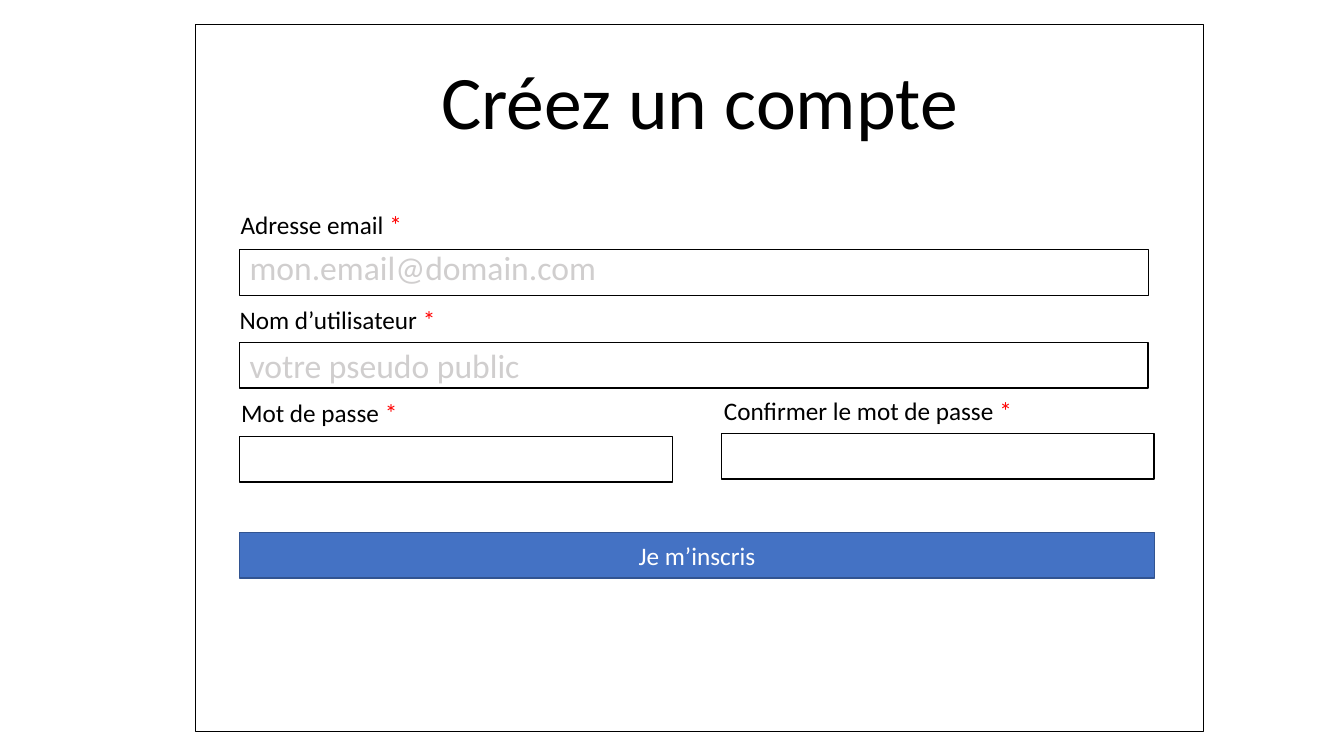
"""Build the account sign-up form slide."""
from pptx import Presentation
from pptx import util as u
from pptx.dml.color import RGBColor
from pptx.enum import shapes, text

COLORS = {"ink": "000000", "paper": "FFFFFF", "hint": "D0CECE",
          "required": "FF0000", "button": "4472C4", "button_edge": "325491"}
FONT = "Calibri"
SLIDE = (960, 540)
LEFT, FIELD_H = 171.2, 32.6
WIDE, HALF, BUTTON_W = 648.9, 309.1, 653.3
RIGHT_LEFT = LEFT + BUTTON_W - HALF

STYLES = {
    "frame": {"fill": None, "line": "ink", "width": 0.75, "size": 54, "color": "ink",
              "align": "CENTER", "anchor": "TOP", "spacing": 1, "inset": 21},
    "email": {"fill": None, "line": "ink", "width": 0.75, "size": 24, "color": "hint",
              "align": "LEFT", "anchor": "TOP", "spacing": 0.8, "inset": 3.6},
    "field": {"fill": "paper", "line": "ink", "width": 1, "size": 24, "color": "hint",
              "align": "LEFT", "anchor": "MIDDLE", "spacing": 1, "inset": 3.6},
    "label": {"fill": "paper", "line": "paper", "width": 1, "size": 18, "color": "ink",
              "align": "CENTER", "anchor": "MIDDLE", "spacing": 1, "inset": 3.6},
    "button": {"fill": "button", "line": "button_edge", "width": 1, "size": 18,
               "color": "paper", "align": "CENTER", "anchor": "MIDDLE",
               "spacing": 1, "inset": 3.6},
}

FORM = [
    ("frame", "Créez un compte", (139.7, 17.7, 720, 504.7)),
    ("email", "mon.email@domain.com", (LEFT, 178.4, WIDE, FIELD_H)),
    ("label", "Adresse email ", (159.6, 143.1, 139.7, 34.6)),
    ("label", "Nom d’utilisateur ", (154.3, 211.7, 173.5, FIELD_H)),
    ("field", "votre pseudo public", (LEFT, 244.7, WIDE, FIELD_H)),
    ("label", "Mot de passe ", (163.9, 278.5, 128.2, FIELD_H)),
    ("field", "", (LEFT, 311.8, HALF, FIELD_H)),
    ("label", "Confirmer le mot de passe ", (506.2, 278.4, 227.5, 30)),
    ("field", "", (RIGHT_LEFT, 309.6, HALF, FIELD_H)),
    ("button", "Je m’inscris", (LEFT, 380.2, BUTTON_W, FIELD_H)),
]


def rgb(name):
    return RGBColor.from_string(COLORS[name])


def add_run(p, words, size, color):
    r = p.add_run()
    r.text = words
    for key, value in {"name": FONT, "size": u.Pt(size)}.items():
        setattr(r.font, key, value)
    r.font.color.rgb = rgb(color)


def add_part(s, kind, words, box):
    style = STYLES[kind]
    sp = s.shapes.add_shape(shapes.MSO_SHAPE.RECTANGLE, *map(u.Pt, box))
    sp.shadow.inherit = False
    if style["fill"]:
        sp.fill.solid()
        sp.fill.fore_color.rgb = rgb(style["fill"])
    else:
        sp.fill.background()
    sp.line.color.rgb = rgb(style["line"])
    sp.line.width = u.Pt(style["width"])
    if not words:
        return
    tf = sp.text_frame
    frame_format = {"word_wrap": True, "margin_top": u.Pt(style["inset"]),
                    "vertical_anchor": getattr(text.MSO_ANCHOR, style["anchor"])}
    for key, value in frame_format.items():
        setattr(tf, key, value)
    p = tf.paragraphs[0]
    p.alignment = getattr(text.PP_ALIGN, style["align"])
    p.line_spacing = style["spacing"]
    add_run(p, words, style["size"], style["color"])
    if kind == "label":
        add_run(p, "*", style["size"], "required")


def main():
    prs = Presentation()
    prs.slide_width, prs.slide_height = map(u.Pt, SLIDE)
    s = prs.slides.add_slide(prs.slide_layouts[6])
    for part in FORM:
        add_part(s, *part)
    prs.save("out.pptx")


if __name__ == "__main__":
    main()
